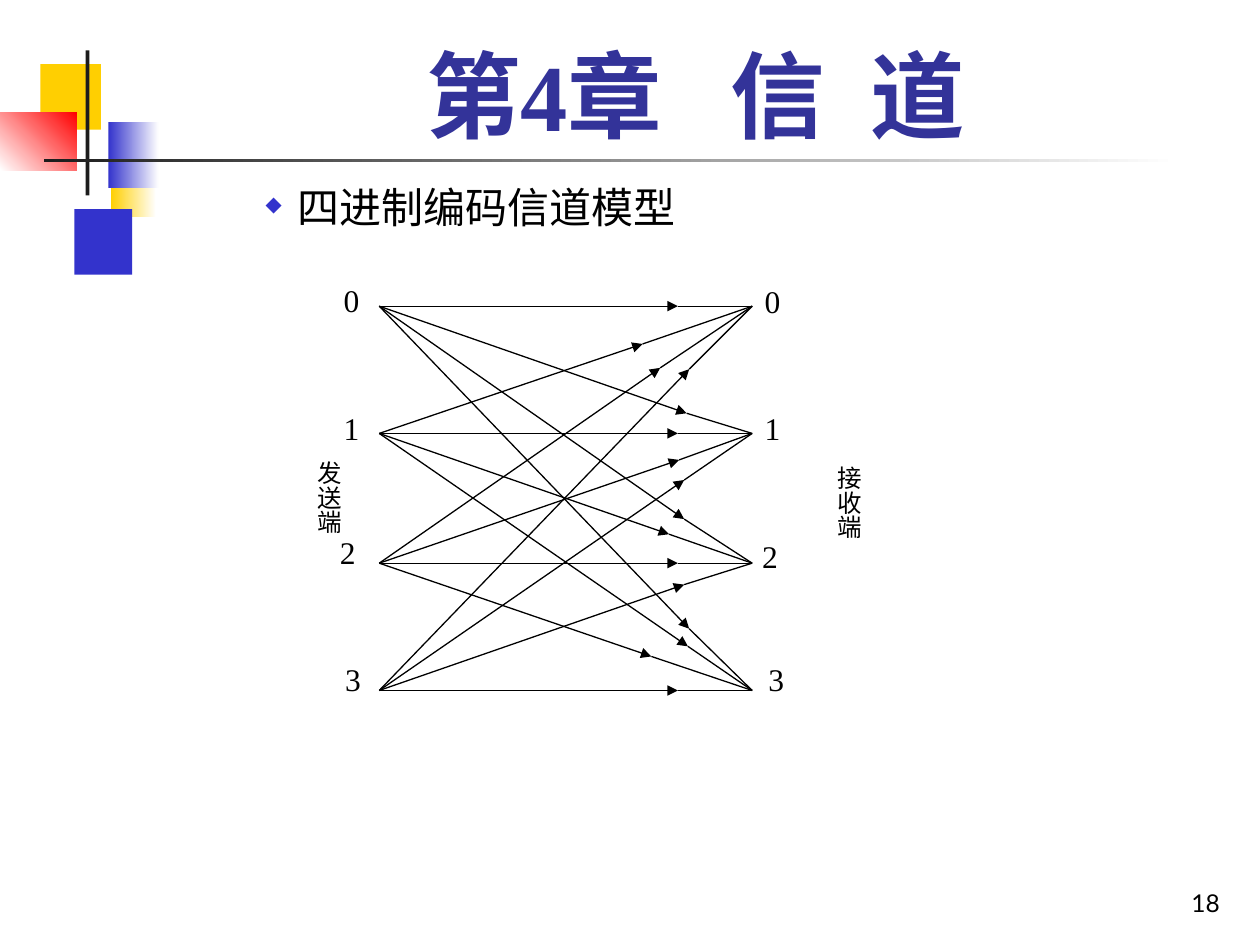
import pptx
import pptx.dml.color
import pptx.enum.shapes
import pptx.enum.text
import pptx.oxml.ns
import pptx.util
from lxml import etree

Inches = pptx.util.Inches
Pt = pptx.util.Pt
ALIGN = pptx.enum.text.PP_ALIGN
ANCHOR = pptx.enum.text.MSO_ANCHOR
qn = pptx.oxml.ns.qn

# Content: title pieces with extra letter spacing in points
TITLE = [("第4章", 0), (" ", 27), ("信", 0), (" ", 13.5), ("道", 0)]
BULLET = "四进制编码信道模型"
PAGE_NUMBER = "18"

# Decoration: left, top, width, height, colours, gradient angle
DECORATION = [
    (0.88, 1.2, 0.36, 0.52, ["FFCF01", "FFFFFF"], 0),
    (0.59, 1.66, 0.46, 0.52, ["3333CC"], 0),
    (0.32, 0.51, 0.48, 0.52, ["FFCF01"], 0),
    (0.86, 0.97, 0.4, 0.52, ["3333CC", "FFFFFF"], 0),
    (0, 0.89, 0.61, 0.46, ["FFFFFF", "FF0000"], 45),
    (0.68, 0.4, 0.03, 1.15, ["1C1C1C"], 0),
    (0.35, 1.26, 9, 0.03, ["1C1C1C", "FFFFFF"], 0),
]

# Channel diagram: one row of nodes per symbol
SENDER_X, RECEIVER_X = 3.01, 5.97
NODE_Y = [2.43, 3.44, 4.47, 5.48]
# Arrow tip on the way from each sender (row) to each receiver (column)
ARROW_TIPS = [
    [(5.38, 2.43), (5.45, 3.28), (5.43, 4.12), (5.47, 4.99)],
    [(5.1, 2.73), (5.38, 3.44), (5.31, 4.24), (5.46, 5.13)],
    [(5.24, 2.92), (5.39, 3.65), (5.38, 4.47), (5.17, 5.21)],
    [(5.47, 2.93), (5.43, 3.81), (5.43, 4.64), (5.38, 5.48)],
]
# Left and top of each symbol label, numbered from 0
SENDER_LABELS = [(2.63, 2.18), (2.63, 3.2), (2.6, 4.18), (2.64, 5.19)]
RECEIVER_LABELS = [(5.97, 2.19), (5.97, 3.2), (5.95, 4.21), (6, 5.19)]
SIDE_LABELS = [("接收端", 6.19, 3.6), ("发送端", 2.07, 3.56)]


def rgb(value):
    return pptx.dml.color.RGBColor.from_string(value)


def add_text(slide, text, box, size=18, font="Times New Roman", color="000000",
             bold=False, align=ALIGN.JUSTIFY, anchor=ANCHOR.TOP,
             insets=(0.1, 0.05), vertical=False, bullet=None):
    """Add a text box; text is a string or a list of (piece, spacing)."""
    shape = slide.shapes.add_textbox(*map(Inches, box))
    frame = shape.text_frame
    frame.word_wrap = True
    frame.vertical_anchor = anchor
    frame.margin_left = frame.margin_right = Inches(insets[0])
    frame.margin_top = frame.margin_bottom = Inches(insets[1])
    if vertical:
        frame._txBody.bodyPr.set("vert", "eaVert")
    paragraph = frame.paragraphs[0]
    paragraph.alignment = align
    if bullet:
        add_bullet(paragraph, **bullet)
    pieces = [(text, 0)] if isinstance(text, str) else text
    for piece, spacing in pieces:
        run = paragraph.add_run()
        run.text = piece
        run.font.size = Pt(size)
        run.font.name = font
        run.font.bold = bold
        run.font.color.rgb = rgb(color)
        if spacing:
            run._r.get_or_add_rPr().set("spc", str(int(spacing * 100)))
    return shape


def add_bullet(paragraph, character, color, percent, left, indent):
    properties = paragraph._p.get_or_add_pPr()
    properties.set("marL", str(Inches(left)))
    properties.set("indent", str(Inches(indent)))
    bullet_color = etree.SubElement(properties, qn("a:buClr"))
    etree.SubElement(bullet_color, qn("a:srgbClr"), val=color)
    etree.SubElement(properties, qn("a:buSzPct"), val=str(percent * 1000))
    etree.SubElement(properties, qn("a:buChar"), char=character)


def add_block(slide, box, colors, angle):
    shape = slide.shapes.add_shape(
        pptx.enum.shapes.MSO_SHAPE.RECTANGLE, *map(Inches, box))
    shape.shadow.inherit = False
    shape.line.fill.background()
    if len(colors) == 1:
        shape.fill.solid()
        shape.fill.fore_color.rgb = rgb(colors[0])
        return
    shape.fill.gradient()
    shape.fill.gradient_angle = angle
    for stop, color, position in zip(shape.fill.gradient_stops, colors, (0, 1)):
        stop.color.rgb = rgb(color)
        stop.position = position


def add_line(slide, start, end, arrow=False):
    line = slide.shapes.add_connector(
        pptx.enum.shapes.MSO_CONNECTOR.STRAIGHT, *map(Inches, start + end))
    line.line.color.rgb = rgb("000000")
    line.line.width = Pt(0.75)
    if arrow:
        etree.SubElement(line.line._get_or_add_ln(), qn("a:tailEnd"), type="triangle")
    etree.SubElement(line._element.spPr, qn("a:effectLst"))


def main():
    presentation = pptx.Presentation()
    presentation.slide_width = Inches(10)
    presentation.slide_height = Inches(7.5)
    slide = presentation.slides.add_slide(presentation.slide_layouts[6])

    # Corner decoration and rule
    for *box, colors, angle in DECORATION:
        add_block(slide, box, colors, angle)

    # Page number, title and bullet
    add_text(slide, PAGE_NUMBER, (7.7, 6.83, 2.08, 0.5), size=14, font="Lato",
             align=ALIGN.RIGHT, anchor=ANCHOR.BOTTOM)
    add_text(slide, TITLE, (1.26, 0.23, 8.52, 1.01), size=54, color="333399",
             bold=True, align=ALIGN.CENTER, anchor=ANCHOR.BOTTOM)
    add_text(slide, BULLET, (1.01, 1.39, 8.8, 5.71), size=24, align=ALIGN.LEFT,
             bullet=dict(character="◆", color="3333CC", percent=50,
                         left=1.25, indent=-0.25))

    # Every sender reaches every receiver, with an arrowhead on the way
    for sender_y, tips in zip(NODE_Y, ARROW_TIPS):
        for receiver_y, tip in zip(NODE_Y, tips):
            add_line(slide, (SENDER_X, sender_y), tip, arrow=True)
            add_line(slide, tip, (RECEIVER_X, receiver_y))

    # Symbol and side labels
    for labels in (SENDER_LABELS, RECEIVER_LABELS):
        for symbol, (left, top) in enumerate(labels):
            add_text(slide, str(symbol), (left, top, 0.47, 0.44))
    for text, left, top in SIDE_LABELS:
        add_text(slide, text, (left, top, 0.71, 0.96), size=14,
                 insets=(0.05, 0.1), vertical=True)

    presentation.save("out.pptx")


if __name__ == "__main__":
    main()
